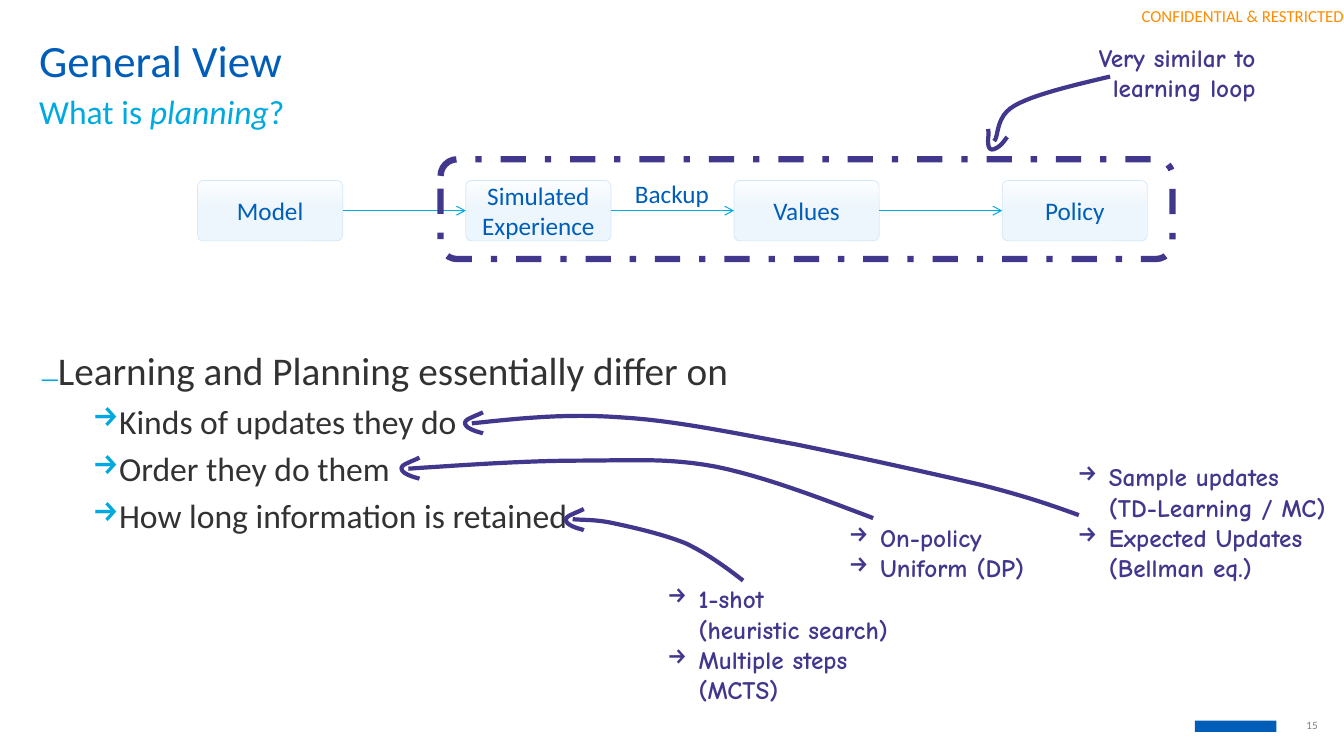
from copy import deepcopy

from lxml import etree
from pptx import Presentation
from pptx.dml.color import RGBColor
from pptx.enum.dml import MSO_LINE
from pptx.enum.shapes import MSO_CONNECTOR, MSO_SHAPE
from pptx.enum.text import MSO_ANCHOR, PP_ALIGN
from pptx.oxml.ns import qn
from pptx.util import Emu, Pt

PX = 9144
BLUE, CYAN, PURPLE = "005EB8", "00A9E0", "41388D"
ORANGE, DARK, GREY = "FF8C00", "323232", "808080"
ROUNDED, RECT = MSO_SHAPE.ROUNDED_RECTANGLE, MSO_SHAPE.RECTANGLE
STRAIGHT, DASH_DOT = MSO_CONNECTOR.STRAIGHT, MSO_LINE.DASH_DOT
LEFT, CENTER, RIGHT = PP_ALIGN.LEFT, PP_ALIGN.CENTER, PP_ALIGN.RIGHT
TOP, MIDDLE = MSO_ANCHOR.TOP, MSO_ANCHOR.MIDDLE
STAGES = ["Model", "Simulated\nExperience", "Values", "Policy"]
STAGE_W, STAGE_H, STAGE_STEP = 144, 60, 266
GRADIENT = [(0, "FCFDFF"), (0.5, "EDF6FC"), (1, "EBF5FD")]
DIFFERENCES = ["Kinds of updates they do", "Order they do them",
               "How long information is retained"]
NOTES = [
    (1059, 453, 273, 131, ["Sample updates (TD-Learning / MC)",
                           "Expected Updates (Bellman eq.)"]),
    (832, 513, 212, 71, ["On-policy", "Uniform (DP)"]),
    (652, 574, 248, 131, ["1-shot\n(heuristic search)",
                          "Multiple steps (MCTS)"]),
]
ARROW_CURVES = [
    [(1101, 76), (1063, 85), (1025, 94), (1006, 105),
     (987, 116), (991, 135), (986, 140)],
    [(980, 128), (981, 134), (980, 135), (980, 140),
     (980, 145), (981, 151), (988, 147), (994, 144), (997, 138), (999, 136)],
    [(737, 576), (719, 562), (701, 549), (680, 539), (658, 530),
     (627, 523), (608, 519), (590, 515), (574, 516), (568, 515)],
    [(866, 514), (813, 494), (759, 473), (710, 463), (662, 454),
     (626, 457), (575, 457), (524, 457), (465, 461), (405, 465)],
    [(468, 420), (515, 415), (562, 410), (615, 414), (669, 417),
     (730, 430), (790, 441), (849, 453), (926, 470), (973, 481),
     (1020, 493), (1045, 502), (1070, 511)],
]
HEAD = [(11, -5), (5, -2), (4, -2), (0, 0), (-5, 2), (-10, 5),
        (-4, 10), (2, 14), (9, 15), (11, 16)]
HEAD_PLACES = [(468, 414), (405, 459), (568, 510)]


def px(*lengths):
    """Turn px lengths into EMU."""
    return [Emu(round(n * PX)) for n in lengths]


def rgb(color):
    """Turn a hex string into a colour."""
    return RGBColor.from_string(color)


def write(p, text, size=18, color=BLUE, font="Calibri", bold=False,
          italic=False, align=LEFT):
    """Add formatted text to a paragraph, breaking at newlines."""
    p.alignment = align
    for i, line in enumerate(text.split("\n")):
        if i:
            p.add_line_break()
        r = p.add_run()
        r.text = line
        r.font.size = Pt(size)
        r.font.name = font
        r.font.bold = bold
        r.font.italic = italic
        r.font.color.rgb = rgb(color)


def add_bullet(p, char, left, hang, color=None, percent=None):
    """Give a paragraph a hanging bullet."""
    pPr = p._p.get_or_add_pPr()
    pPr.set("marL", str(left * PX))
    pPr.set("indent", str(-hang * PX))
    if color:
        clr = etree.SubElement(pPr, qn("a:buClr"))
        etree.SubElement(clr, qn("a:srgbClr"), val=color)
    if percent:
        etree.SubElement(pPr, qn("a:buSzPct"), val=str(percent * 1000))
    etree.SubElement(pPr, qn("a:buChar"), char=char)


def add_box(s, x, y, w, h, anchor=TOP, inset=(10, 5)):
    """Add a wrapping text box and return its text frame."""
    tf = s.shapes.add_textbox(*px(x, y, w, h)).text_frame
    tf.word_wrap = True
    tf.vertical_anchor = anchor
    tf.margin_left, tf.margin_top = px(*inset)
    tf.margin_right, tf.margin_bottom = px(*inset)
    return tf


def add_stage(s, x, y, name):
    """Add one gradient box of the planning chain."""
    sp = s.shapes.add_shape(ROUNDED, *px(x, y, STAGE_W, STAGE_H))
    sp.shadow.inherit = False
    sp.adjustments[0] = 0.1
    sp.fill.gradient()
    sp.fill.gradient_angle = 270
    stops = sp._element.find(".//" + qn("a:gsLst"))
    stops.insert(1, deepcopy(stops[0]))
    for stop, (position, color) in zip(sp.fill.gradient_stops, GRADIENT):
        stop.position = position
        stop.color.rgb = rgb(color)
    sp.line.color.rgb = rgb("D3E8F8")
    sp.line.width = Pt(0.5)
    tf = sp.text_frame
    tf.word_wrap = True
    tf.vertical_anchor = MIDDLE
    write(tf.paragraphs[0], name, align=CENTER)


def add_arrow(s, x1, x2, y):
    """Add a thin horizontal arrow."""
    c = s.shapes.add_connector(STRAIGHT, *px(x1, y, x2, y))
    c.line.color.rgb = rgb(CYAN)
    c.line.width = Pt(0.75)
    etree.SubElement(c.line._get_or_add_ln(), qn("a:tailEnd"), type="arrow")
    etree.SubElement(c._element.spPr, qn("a:effectLst"))


def add_curve(s, points, steps=12):
    """Draw an open stroke through chained cubic Bezier segments."""
    path = [points[0]]
    for i in range(0, len(points) - 1, 3):
        for k in range(1, steps + 1):
            t = k / steps
            weights = ((1 - t) ** 3, 3 * t * (1 - t) ** 2,
                       3 * t * t * (1 - t), t ** 3)
            segment = zip(*points[i:i + 4])
            path.append([sum(a * b for a, b in zip(weights, axis))
                         for axis in segment])
    path = [px(*point) for point in path]
    fb = s.shapes.build_freeform(*path[0])
    fb.add_line_segments(path[1:], close=False)
    sp = fb.convert_to_shape()
    sp.shadow.inherit = False
    sp.fill.background()
    sp.line.color.rgb = rgb(PURPLE)
    sp.line.width = Pt(3)


def add_chain(s):
    """Draw the planning chain and the frame around its loop."""
    xs = [196 + i * STAGE_STEP for i in range(len(STAGES))]
    for x, name in zip(xs, STAGES):
        add_stage(s, x, 179, name)
    for x, following in zip(xs, xs[1:]):
        add_arrow(s, x + STAGE_W, following, 209)
    write(add_box(s, 610, 172, 113, 40).paragraphs[0], "Backup", align=CENTER)
    frame = s.shapes.add_shape(ROUNDED, *px(437, 158, 726, 99))
    frame.shadow.inherit = False
    frame.fill.background()
    frame.line.color.rgb = rgb(PURPLE)
    frame.line.width = Pt(4.5)
    frame.line.dash_style = DASH_DOT


def add_differences(s):
    """Write the statement and its bulleted points."""
    tf = add_box(s, 32, 339, 1228, 350)
    p = tf.paragraphs[0]
    add_bullet(p, "_", 14, 14, CYAN, 80)
    write(p, "Learning and Planning essentially differ on", size=28, color=DARK)
    for text in DIFFERENCES:
        p = tf.add_paragraph()
        p.level = 1
        add_bullet(p, "→", 75, 25, CYAN)
        p.space_before = Pt(5)
        write(p, text, size=24, color=DARK)


def add_note(s, x, y, w, h, lines):
    """Write a handwritten note with arrow bullets."""
    tf = add_box(s, x, y, w, h)
    for i, text in enumerate(lines):
        p = tf.add_paragraph() if i else tf.paragraphs[0]
        add_bullet(p, "→", 31, 31)
        write(p, text, color=PURPLE, font="Comic Neue", bold=True)


def main():
    """Build the slide and save it."""
    prs = Presentation()
    prs.slide_width, prs.slide_height = px(1333, 750)
    s = prs.slides.add_slide(prs.slide_layouts[6])
    mark = s.shapes.add_shape(RECT, *px(1185, 715, 81, 11))
    mark.shadow.inherit = False
    mark.fill.solid()
    mark.fill.fore_color.rgb = rgb(BLUE)
    mark.line.fill.background()
    tf = add_box(s, 1094, 0, 239, 32, MIDDLE, (0, 0))
    write(tf.paragraphs[0], "CONFIDENTIAL & RESTRICTED", size=12,
          color=ORANGE, align=RIGHT)
    tf = add_box(s, 1288, 713, 27, 13, MIDDLE, (0, 0))
    write(tf.paragraphs[0], "15", size=8, color=GREY, align=CENTER)
    tf = add_box(s, 29, 32, 1231, 53, inset=(10, 0))
    write(tf.paragraphs[0], "General View", size=32)
    p = add_box(s, 29, 85, 1228, 51).paragraphs[0]
    for text, italic in (("What is ", False), ("planning", True), ("?", False)):
        write(p, text, size=24, color=CYAN, italic=italic)
    add_differences(s)
    add_chain(s)
    write(add_box(s, 1030, 37, 225, 71).paragraphs[0],
          "Very similar to learning loop", color=PURPLE, font="Comic Neue",
          bold=True, align=RIGHT)
    for points in ARROW_CURVES:
        add_curve(s, points)
    for x, y in HEAD_PLACES:
        add_curve(s, [(x + dx, y + dy) for dx, dy in HEAD])
    for note in NOTES:
        add_note(s, *note)
    prs.save("out.pptx")


if __name__ == "__main__":
    main()
